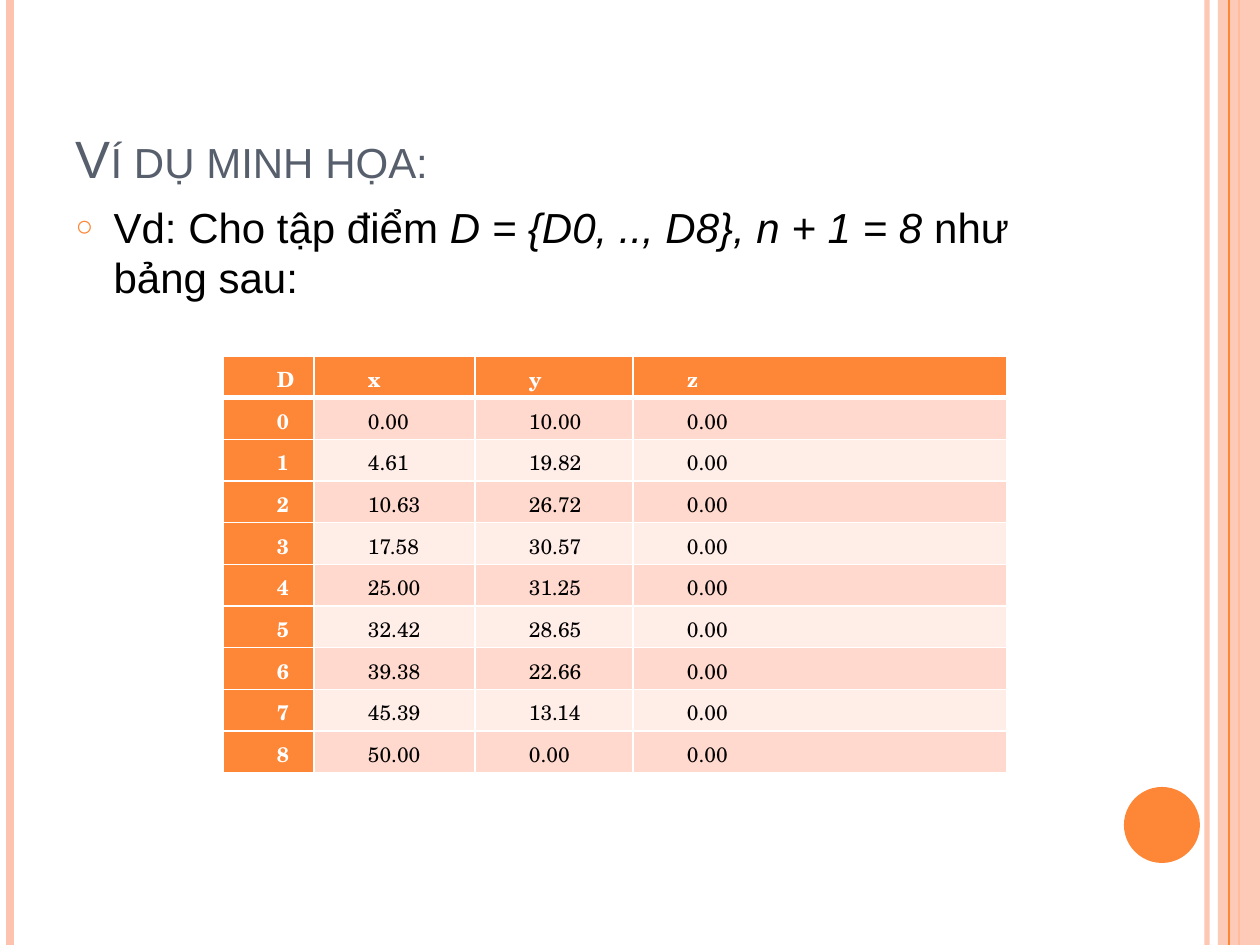
"""Build a slide with a worked example and its table of point coordinates."""
from lxml import etree
from pptx import Presentation
from pptx import util as u
from pptx.dml.color import RGBColor
from pptx.enum import shapes, text
from pptx.oxml import ns

SCALE = 914400 // 126
WIDTH, HEIGHT = 1260, 945
ORANGE, PEACH, WHITE, BLACK, SLATE = "FE8637", "FEC3AE", "FFFFFF", "000000", "575F6D"
BANDS = ["FFD9CE", "FFEDE8"]
SANS, SERIF = "Arial", "TeX Gyre Schola"

TITLE = "Ví dụ minh họa:"
BODY = [
    ("Vd: Cho tập điểm ", False),
    ("D = {D0, .., D8}, n + 1 = 8 ", True),
    ("như bảng sau:", False),
]
HEADER = ["D", "x", "y", "z"]
POINTS = [
    ("0.00", "10.00", "0.00"),
    ("4.61", "19.82", "0.00"),
    ("10.63", "26.72", "0.00"),
    ("17.58", "30.57", "0.00"),
    ("25.00", "31.25", "0.00"),
    ("32.42", "28.65", "0.00"),
    ("39.38", "22.66", "0.00"),
    ("45.39", "13.14", "0.00"),
    ("50.00", "0.00", "0.00"),
]
ROWS = [HEADER] + [(str(index), *point) for index, point in enumerate(POINTS)]

TITLE_BOX = (63, 38, 1029, 157)
BODY_BOX = (63, 195, 1050, 687)
TABLE_LEFT, TABLE_TOP, TABLE_HEIGHT = 223, 356, 417
COLUMNS = [91, 161, 158, 374]
RULES = [
    (1207, PEACH, 3, 93),
    (10, PEACH, 4.5, 100),
    (1239, ORANGE, 1.5, 100),
    (1229, ORANGE, 0.75, 100),
]
BAND = (shapes.MSO_SHAPE.RECTANGLE, (1218, 0, 42, HEIGHT), PEACH, 87)
DISC = (shapes.MSO_SHAPE.OVAL, (1124, 787, 76, 76), ORANGE, 100)


def px(value):
    return u.Emu(value * SCALE)


def color(value):
    return RGBColor.from_string(value)


def add_element(parent, tag, **attributes):
    return etree.SubElement(parent, ns.qn(tag), attributes)


def paint(fill, value, opacity=100):
    fill.solid()
    fill.fore_color.rgb = color(value)
    if opacity < 100:
        for node in fill._xPr.iter(ns.qn("a:srgbClr")):
            add_element(node, "a:alpha", val=str(opacity * 1000))


def add_run(paragraph, words, font, size, value, bold=False, italic=False):
    run = paragraph.add_run()
    run.text = words
    run.font.name, run.font.size = font, u.Pt(size)
    run.font.bold, run.font.italic = bold, italic
    run.font.color.rgb = color(value)
    return run


def place(shape, box):
    shape.left, shape.top, shape.width, shape.height = map(px, box)


def add_rule(slide, x, value, weight, opacity):
    line = slide.shapes.add_connector(
        shapes.MSO_CONNECTOR.STRAIGHT, px(x), px(0), px(x), px(HEIGHT))
    line.line.width = u.Pt(weight)
    paint(line.line.fill, value, opacity)
    add_element(line._element.spPr, "a:effectLst")


def add_block(slide, kind, box, value, opacity):
    shape = slide.shapes.add_shape(kind, *map(px, box))
    shape.shadow.inherit = False
    paint(shape.fill, value, opacity)
    shape.line.fill.background()


def write_title(shape):
    place(shape, TITLE_BOX)
    shape.text_frame.vertical_anchor = text.MSO_ANCHOR.BOTTOM
    paragraph = shape.text_frame.paragraphs[0]
    paragraph.alignment = text.PP_ALIGN.LEFT
    run = add_run(paragraph, TITLE, SANS, 30, SLATE)
    run.font._element.set("cap", "small")


def write_body(shape):
    place(shape, BODY_BOX)
    paragraph = shape.text_frame.paragraphs[0]
    paragraph.space_before = u.Pt(6)
    properties = paragraph._p.get_or_add_pPr()
    properties.set("marL", str(px(38)))
    properties.set("indent", str(px(-38)))
    add_element(add_element(properties, "a:buClr"), "a:srgbClr", val=ORANGE)
    add_element(properties, "a:buSzPct", val="70000")
    add_element(properties, "a:buFont", typeface=SANS)
    add_element(properties, "a:buChar", char="○")
    for words, italic in BODY:
        add_run(paragraph, words, SANS, 24, BLACK, italic=italic)


def add_borders(cell, row):
    properties = cell._tc.get_or_add_tcPr()
    top = 3 if row == 1 else 1
    bottom = 3 if row == 0 else 1
    for side, weight in (("L", 1), ("R", 1), ("T", top), ("B", bottom)):
        border = add_element(properties, f"a:ln{side}", w=str(u.Pt(weight)))
        add_element(add_element(border, "a:solidFill"), "a:srgbClr", val=WHITE)


def write_cell(cell, words, row, column):
    heading = row == 0 or column == 0
    add_borders(cell, row)
    paint(cell.fill, ORANGE if heading else BANDS[(row - 1) % 2])
    cell.vertical_anchor = text.MSO_ANCHOR.MIDDLE
    cell.margin_left = cell.margin_right = px(9)
    cell.margin_top = cell.margin_bottom = 0
    paragraph = cell.text_frame.paragraphs[0]
    paragraph.space_before = u.Pt(6)
    paragraph.line_spacing = 1.15
    paragraph._p.get_or_add_pPr().set("marL", str(px(45)))
    add_run(paragraph, words, SERIF, 12, WHITE if heading else BLACK, bold=heading)


def add_points(slide):
    frame = slide.shapes.add_table(
        len(ROWS), len(COLUMNS), px(TABLE_LEFT), px(TABLE_TOP),
        px(sum(COLUMNS)), px(TABLE_HEIGHT))
    table = frame.table
    table.first_col = True
    for column, width in zip(table.columns, COLUMNS):
        column.width = px(width)
    for row, values in enumerate(ROWS):
        table.rows[row].height = px(TABLE_HEIGHT) // len(ROWS)
        for column, words in enumerate(values):
            write_cell(table.cell(row, column), words, row, column)


def main():
    presentation = Presentation()
    presentation.slide_width, presentation.slide_height = px(WIDTH), px(HEIGHT)
    slide = presentation.slides.add_slide(presentation.slide_layouts[1])
    paint(slide.background.fill, WHITE)
    for rule in RULES[:3]:
        add_rule(slide, *rule)
    add_block(slide, *BAND)
    add_rule(slide, *RULES[3])
    add_block(slide, *DISC)
    write_title(slide.shapes.title)
    write_body(slide.placeholders[1])
    add_points(slide)
    presentation.save("out.pptx")


if __name__ == "__main__":
    main()
